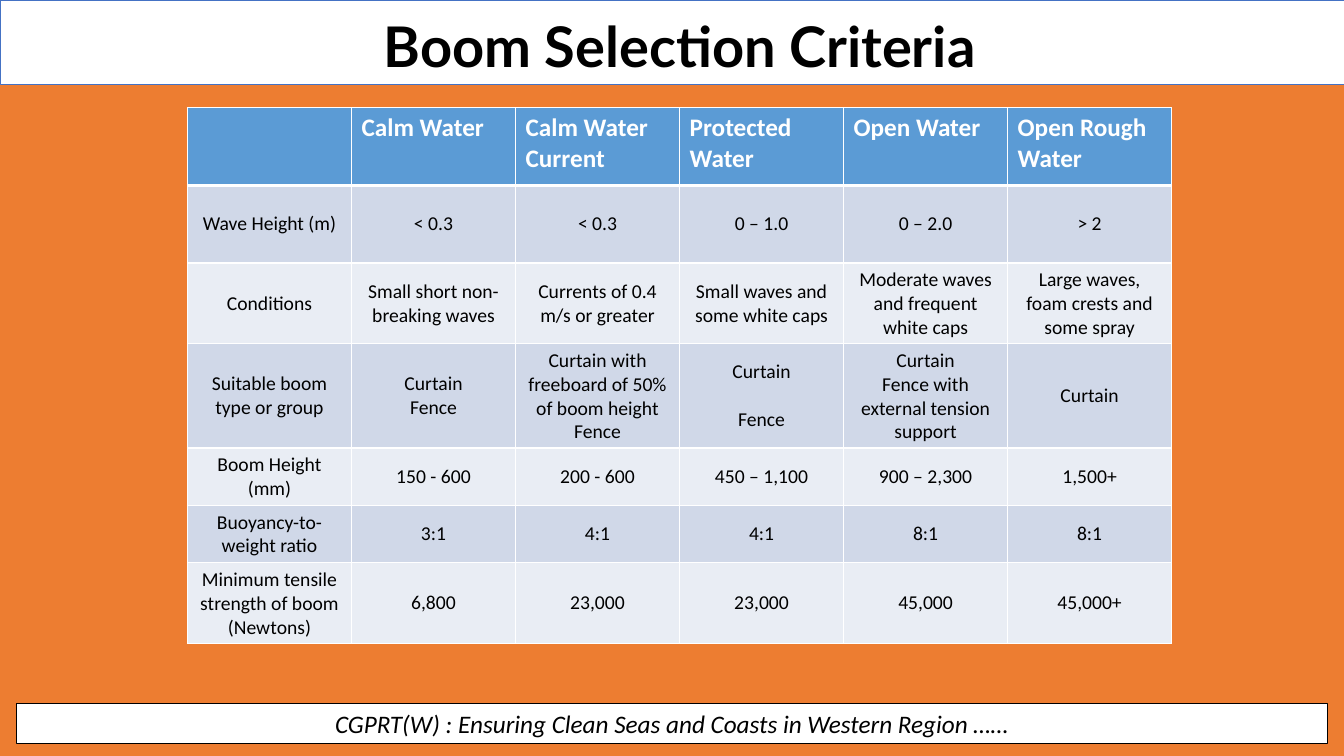
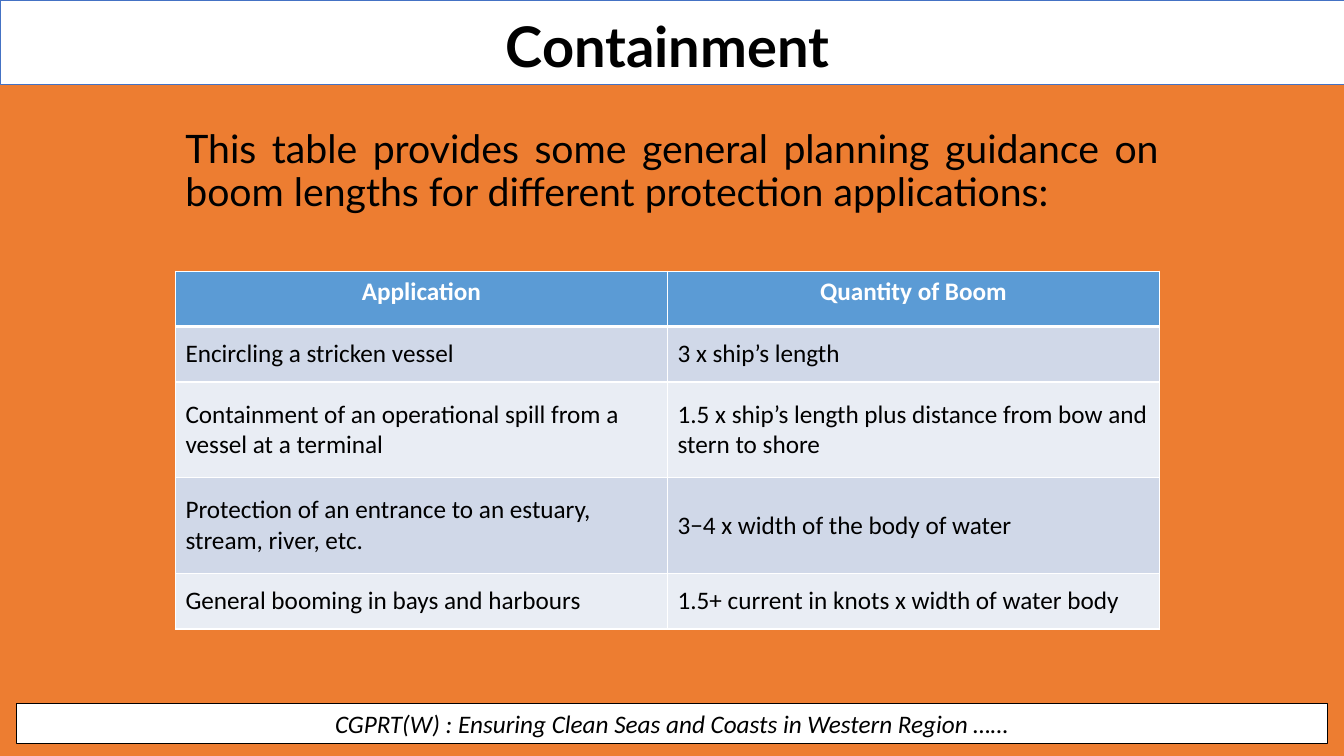
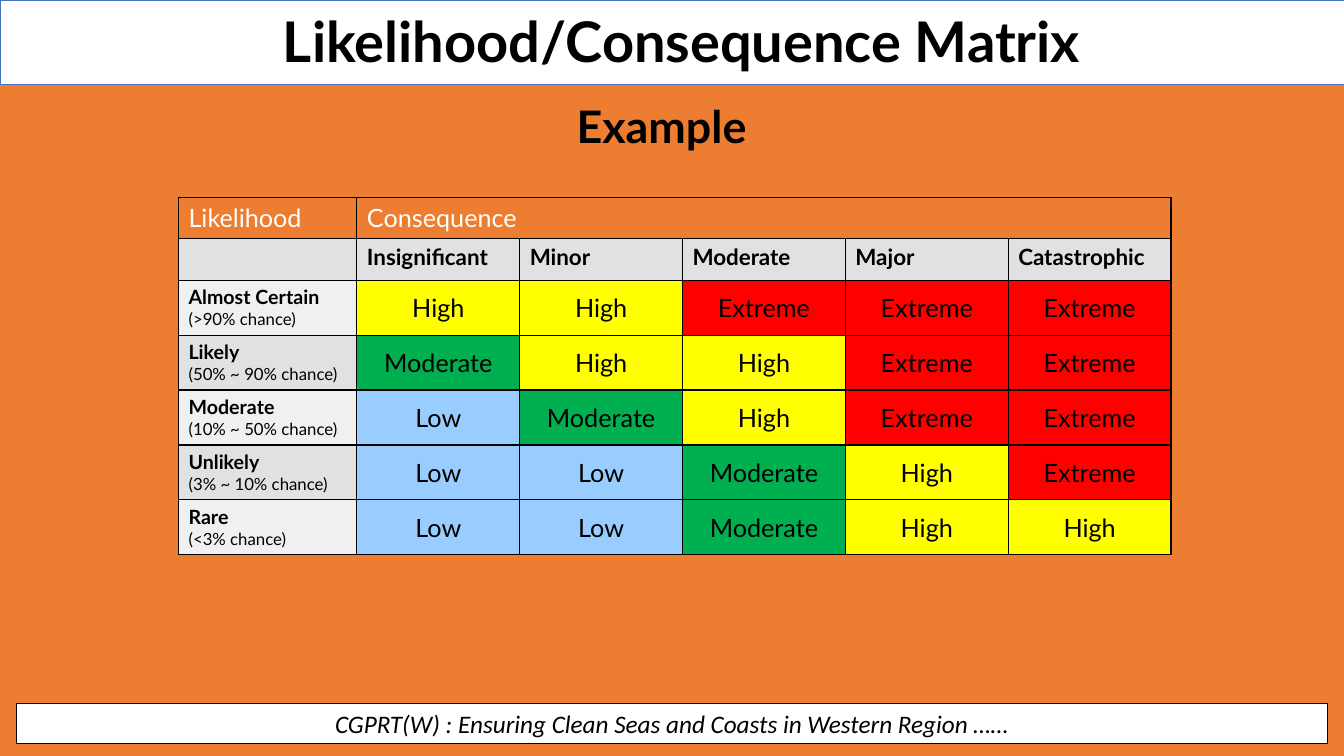
from lxml import etree
from pptx import Presentation
from pptx.dml.color import RGBColor
from pptx.enum.shapes import MSO_SHAPE
from pptx.enum.text import MSO_ANCHOR, PP_ALIGN
from pptx.oxml.ns import qn
from pptx.util import Inches, Pt

RECTANGLE = MSO_SHAPE.RECTANGLE
LEFT, CENTER, JUSTIFY = PP_ALIGN.LEFT, PP_ALIGN.CENTER, PP_ALIGN.JUSTIFY
TOP, MIDDLE = MSO_ANCHOR.TOP, MSO_ANCHOR.MIDDLE

COLORS = {
    "background": "ED7D31",
    "white": "FFFFFF",
    "black": "000000",
    "band_line": "4472C4",
    "header": "5B9BD5",
    "row_odd": "D0D8E8",
    "row_even": "E9EDF4",
    "label_dark": "E1E1E1",
    "label_light": "F0F0F0",
}
RATING_COLORS = {
    "Low": "99CCFF",
    "Moderate": "00B050",
    "High": "FFFF00",
    "Extreme": "FF0000",
}
HEADING_FONT, BODY_FONT = "Lato", "Calibri"
FOOTER = "CGPRT(W) : Ensuring Clean Seas and Coasts in Western Region ……"

BOOM_ROWS = [
    ["", "Calm Water", "Calm Water Current", "Protected Water", "Open Water", "Open Rough Water"],
    ["Wave Height (m)", "< 0.3", "< 0.3", "0 – 1.0", "0 – 2.0", "> 2"],
    ["Conditions", "Small short non-breaking waves", "Currents of 0.4 m/s or greater",
     "Small waves and some white caps", "Moderate waves and frequent white caps",
     "Large waves, foam crests and some spray"],
    ["Suitable boom type or group", "Curtain\nFence",
     "Curtain with freeboard of 50% of boom height\nFence", "Curtain\nFence",
     "Curtain\nFence with external tension support", "Curtain"],
    ["Boom Height (mm)", "150 - 600", "200 - 600", "450 – 1,100", "900 – 2,300", "1,500+"],
    ["Buoyancy-to-weight ratio", "3:1", "4:1", "4:1", "8:1", "8:1"],
    ["Minimum tensile strength of boom (Newtons)", "6,800", "23,000", "23,000", "45,000", "45,000+"],
]
LENGTH_ROWS = [
    ["Application", "Quantity of Boom"],
    ["Encircling a stricken vessel", "3 x ship’s length"],
    ["Containment of an operational spill from a vessel at a terminal",
     "1.5 x ship’s length plus distance from bow and stern to shore"],
    ["Protection of an entrance to an estuary, stream, river, etc.",
     "3−4 x width of the body of water"],
    ["General booming in bays and harbours", "1.5+ current in knots x width of water body"],
]
CONSEQUENCES = ["Insignificant", "Minor", "Moderate", "Major", "Catastrophic"]
RISKS = [
    ("Almost Certain", "(>90% chance)", ["High", "High", "Extreme", "Extreme", "Extreme"]),
    ("Likely", "(50% ~ 90% chance)", ["Moderate", "High", "High", "Extreme", "Extreme"]),
    ("Moderate", "(10% ~ 50% chance)", ["Low", "Moderate", "High", "Extreme", "Extreme"]),
    ("Unlikely", "(3% ~ 10% chance)", ["Low", "Low", "Moderate", "High", "Extreme"]),
    ("Rare", "(<3% chance)", ["Low", "Low", "Moderate", "High", "High"]),
]


def rgb(name):
    return RGBColor.from_string(COLORS[name])


def write_text(frame, text, size=18, font=BODY_FONT, color="black", bold=False,
               italic=False, align=LEFT, spacing=None):
    for line in text.split("\n"):
        para = frame.paragraphs[0]
        if para.runs:
            para = frame.add_paragraph()
        para.alignment = align
        if spacing:
            para.line_spacing = spacing
        span = para.add_run()
        span.text = line
        span.font.size = Pt(size)
        span.font.name = font
        span.font.bold = bold
        span.font.italic = italic
        span.font.color.rgb = rgb(color)


def add_text_box(page, box, text, **style):
    frame = page.shapes.add_textbox(*map(Inches, box)).text_frame
    frame.word_wrap = True
    write_text(frame, text, font=HEADING_FONT, **style)


def add_band(page, box, line, width):
    band = page.shapes.add_shape(RECTANGLE, *map(Inches, box))
    band.shadow.inherit = False
    band.fill.solid()
    band.fill.fore_color.rgb = rgb("white")
    band.line.color.rgb = rgb(line)
    band.line.width = Pt(width)
    return band.text_frame


def add_page(deck, title, title_box):
    page = deck.slides.add_slide(deck.slide_layouts[6])
    page.background.fill.solid()
    page.background.fill.fore_color.rgb = rgb("background")
    footer = add_band(page, (0.16, 6.98, 13.01, 0.4), "black", 0.75)
    footer.vertical_anchor = MIDDLE
    write_text(footer, FOOTER, italic=True, align=CENTER)
    add_band(page, (0, 0, 13.33, 0.84), "band_line", 0.5)
    add_text_box(page, title_box, title, size=40, bold=True, align=CENTER, spacing=0.9)
    return page


def add_grid(page, left, top, widths, heights):
    table = page.shapes.add_table(
        len(heights), len(widths), Inches(left), Inches(top),
        Inches(sum(widths)), Inches(sum(heights))).table
    for column, width in zip(table.columns, widths):
        column.width = Inches(width)
    for row, height in zip(table.rows, heights):
        row.height = Inches(height)
    return table


def format_cell(cell, fill, border, anchor=TOP, top=1, bottom=1):
    cell.vertical_anchor = anchor
    cell.fill.solid()
    cell.fill.fore_color.rgb = RGBColor.from_string(fill)
    properties = cell._tc.get_or_add_tcPr()
    sides = [("a:lnL", 1), ("a:lnR", 1), ("a:lnT", top), ("a:lnB", bottom)]
    for position, (side, width) in enumerate(sides):
        edge = etree.Element(qn(side), w=str(Pt(width)))
        solid = etree.SubElement(edge, qn("a:solidFill"))
        etree.SubElement(solid, qn("a:srgbClr"), val=COLORS[border])
        properties.insert(position, edge)


def add_banded_table(page, left, top, widths, heights, rows, size, header_align, body_align):
    table = add_grid(page, left, top, widths, heights)
    for row, texts in enumerate(rows):
        if row == 0:
            fill, anchor = "header", TOP
            style = {"color": "white", "bold": True, "align": header_align}
        else:
            fill, anchor = "row_odd" if row % 2 else "row_even", MIDDLE
            style = {"size": size, "align": body_align}
        for column, text in enumerate(texts):
            cell = table.cell(row, column)
            format_cell(cell, COLORS[fill], "white", anchor,
                        top=3 if row == 1 else 1, bottom=3 if row == 0 else 1)
            if text:
                write_text(cell.text_frame, text, **style)
    return table


def add_risk_matrix(page, left, top):
    table = add_grid(page, left, top, [1.77] + [1.615] * 5, [0.41] * 2 + [0.545] * 5)
    for column in range(6):
        format_cell(table.cell(0, column), COLORS["background"], "black")
        format_cell(table.cell(1, column), COLORS["label_dark"], "black")
    table.cell(0, 1).merge(table.cell(0, 5))
    for column, text in enumerate(["Likelihood", "Consequence"]):
        write_text(table.cell(0, column).text_frame, text, font=HEADING_FONT, color="white")
    for column, text in enumerate(CONSEQUENCES, 1):
        write_text(table.cell(1, column).text_frame, text, size=16, font=HEADING_FONT, bold=True)
    for row, (label, chance, ratings) in enumerate(RISKS, 2):
        cell = table.cell(row, 0)
        format_cell(cell, COLORS["label_dark" if row % 2 else "label_light"], "black")
        write_text(cell.text_frame, label, size=14, font=HEADING_FONT, bold=True)
        write_text(cell.text_frame, chance, size=12, font=HEADING_FONT)
        for column, rating in enumerate(ratings, 1):
            cell = table.cell(row, column)
            format_cell(cell, RATING_COLORS[rating], "black", MIDDLE)
            write_text(cell.text_frame, rating, font=HEADING_FONT, align=CENTER)


def build_selection(deck):
    page = add_page(deck, "Boom Selection Criteria", (2.24, 0.14, 9, 0.61))
    table = add_banded_table(page, 1.86, 1.07, [1.627] * 6,
                             [0.77, 0.77, 0.8, 1.03, 0.57, 0.57, 0.8],
                             BOOM_ROWS, 14, LEFT, CENTER)
    table.cell(3, 3).text_frame.paragraphs[1].space_before = Pt(17)


def build_containment(deck):
    page = add_page(deck, "Containment", (2.12, 0.14, 9, 0.61))
    add_text_box(page, (1.74, 1.24, 9.85, 5.71),
                 "This table provides some general planning guidance on boom lengths "
                 "for different protection applications:",
                 size=28, align=JUSTIFY, spacing=0.9)
    add_banded_table(page, 1.74, 2.69, [4.88] * 2, [0.55, 0.55, 0.95, 0.95, 0.55],
                     LENGTH_ROWS, 18, CENTER, LEFT)


def build_matrix(deck):
    page = add_page(deck, "Likelihood/Consequence Matrix", (1.39, 0.09, 10.74, 0.64))
    add_risk_matrix(page, 1.77, 1.96)
    add_text_box(page, (5.62, 0.93, 2.13, 0.64), "Example", size=32, bold=True)


def main():
    deck = Presentation()
    deck.slide_width, deck.slide_height = Inches(13.33), Inches(7.5)
    build_selection(deck)
    build_containment(deck)
    build_matrix(deck)
    deck.save("out.pptx")


if __name__ == "__main__":
    main()
